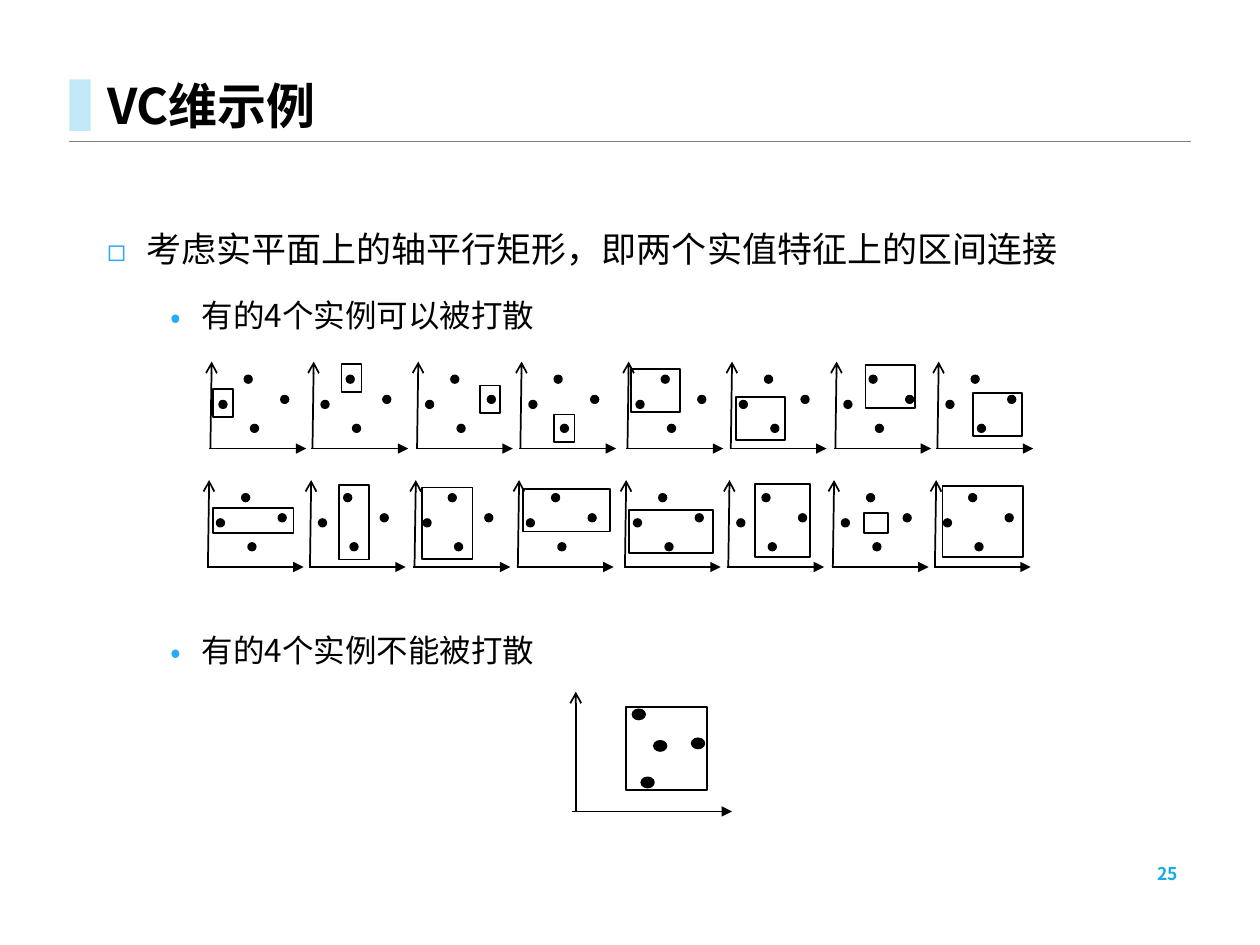
"""Build a slide on the VC dimension of axis-parallel rectangles."""
from lxml.etree import SubElement
from pptx import Presentation
from pptx.dml.color import RGBColor
from pptx.enum.shapes import MSO_CONNECTOR, MSO_SHAPE
from pptx.enum.text import MSO_ANCHOR, MSO_AUTO_SIZE, PP_ALIGN
from pptx.oxml.ns import qn
from pptx.util import Inches, Pt

COLORS = {"ink": "000000", "rule": "808080", "accent": "C2E9F7",
          "bullet": "29AAF5", "number": "17ABE3"}
FONT = "Noto Sans CJK JP"

presentation = Presentation()
presentation.slide_width, presentation.slide_height = Inches(10), Inches(7.5)
cell = presentation.slide_width // 1000
slide = presentation.slides.add_slide(presentation.slide_layouts[1])


def draw(shapes, preset, box, fill=None, outline="ink"):
    shape = shapes.add_shape(preset, *(n * cell for n in box))
    shape.shadow.inherit = False
    if fill:
        shape.fill.solid()
        shape.fill.fore_color.rgb = RGBColor.from_string(COLORS[fill])
    else:
        shape.fill.background()
    if outline:
        shape.line.color.rgb = RGBColor.from_string(COLORS[outline])
        shape.line.width = Pt(1)
    else:
        shape.line.fill.background()


def connect(shapes, ends, color="ink", width=1, end=None, arrow=None):
    line = shapes.add_connector(MSO_CONNECTOR.STRAIGHT, *(n * cell for n in ends))
    line.line.color.rgb = RGBColor.from_string(COLORS[color])
    line.line.width = Pt(width)
    if end:
        SubElement(line.line._get_or_add_ln(), qn(f"a:{end}"), type=arrow)
    SubElement(line._element.spPr, qn("a:effectLst"))


connect(slide.shapes, (55, 112, 945, 112), "rule", 0.25)
draw(slide.shapes, MSO_SHAPE.RECTANGLE, (55, 63, 17, 41), "accent", None)

title, body = slide.shapes.title, slide.placeholders[1]
number = slide.shapes.add_textbox(0, 0, cell, cell)
for holder, box, anchor in (
    (title, (75, 0, 890, 112), MSO_ANCHOR.BOTTOM),
    (body, (75, 157, 870, 526), MSO_ANCHOR.TOP),
    (number, (706, 682, 239, 23), MSO_ANCHOR.MIDDLE),
):
    holder.left, holder.top, holder.width, holder.height = (n * cell for n in box)
    holder.text_frame.word_wrap = True
    holder.text_frame.auto_size = MSO_AUTO_SIZE.NONE
    holder.text_frame.vertical_anchor = anchor

heading = title.text_frame.paragraphs[0]
heading.alignment, heading.line_spacing = PP_ALIGN.LEFT, 0.9
page = number.text_frame.paragraphs[0]
page.alignment = PP_ALIGN.RIGHT
texts = [(heading, "VC维示例", 28, "ink", True), (page, "25", 10, "number", True)]

for i, (text, size, level, margin, hang, mark, mark_size, leading, before) in enumerate((
    ("考虑实平面上的轴平行矩形，即两个实值特征上的区间连接", 20, 0, 31, 31, "◻", 88, 37.5, 0),
    ("有的4个实例可以被打散", 18, 1, 75, 25, "•", 100, 31.5, 5),
    ("有的4个实例不能被打散", 18, 1, 75, 25, "•", 100, 31.5, 160),
)):
    point = body.text_frame.add_paragraph() if i else body.text_frame.paragraphs[0]
    point.level = level
    point.line_spacing, point.space_before = Pt(leading), Pt(before)
    properties = point._p.get_or_add_pPr()
    properties.set("marL", str(margin * cell))
    properties.set("indent", str(-hang * cell))
    SubElement(SubElement(properties, qn("a:buClr")), qn("a:srgbClr"), val=COLORS["bullet"])
    SubElement(properties, qn("a:buSzPct"), val=str(mark_size * 1000))
    SubElement(properties, qn("a:buFont"), typeface=FONT)
    SubElement(properties, qn("a:buChar"), char=mark)
    texts.append((point, text, size, "ink", False))

for paragraph, text, size, color, bold in texts:
    run = paragraph.add_run()
    run.text = text
    run.font.size, run.font.bold, run.font.name = Pt(size), bold, FONT
    run.font.color.rgb = RGBColor.from_string(COLORS[color])
    SubElement(run.font._element, qn("a:ea"), typeface=FONT)

# Each frame is measured from the top of its panel's vertical axis.
columns = (168, 249, 332, 414, 499, 581, 664, 745)
frame_rows = (
    ((1, 22, 16, 22), (22, 2, 16, 22), (49, 19, 16, 22), (26, 42, 16, 22),
     (2, 6, 39, 34), (3, 28, 39, 34), (23, 3, 39, 34), (27, 25, 39, 34)),
    ((3, 22, 64, 20), (22, 4, 24, 59), (5, 6, 40, 57), (3, 7, 69, 34),
     (2, 24, 67, 34), (20, 3, 44, 58), (24, 26, 19, 16), (5, 5, 64, 56)),
)
small = {"height": 69, "lean": 1, "start": -2, "end": 75, "dot": (6, 6),
         "dots": ((6, 31), (31, 50), (55, 27), (26, 11))}
large = {"height": 95, "lean": 0, "start": -3, "end": 124, "dot": (10, 8),
         "dots": ((62, 39), (52, 68), (92, 37), (45, 14))}
panels = [(left - 2 * row, 287 + 94 * row, small, frame)
          for row, frames in enumerate(frame_rows)
          for left, frame in zip(columns, frames)]
panels.append((457, 549, large, (40, 12, 64, 66)))

for left, top, plot, (x, y, width, height) in panels:
    panel = slide.shapes.add_group_shape().shapes
    base = top + plot["height"]
    connect(panel, (left, top, left - plot["lean"], base), end="headEnd", arrow="arrow")
    connect(panel, (left + plot["start"], base, left + plot["end"], base),
            end="tailEnd", arrow="triangle")
    for across, down in plot["dots"]:
        draw(panel, MSO_SHAPE.OVAL, (left + across, top + down, *plot["dot"]), "ink")
    draw(slide.shapes, MSO_SHAPE.RECTANGLE, (left + x, top + y, width, height))

presentation.save("out.pptx")
